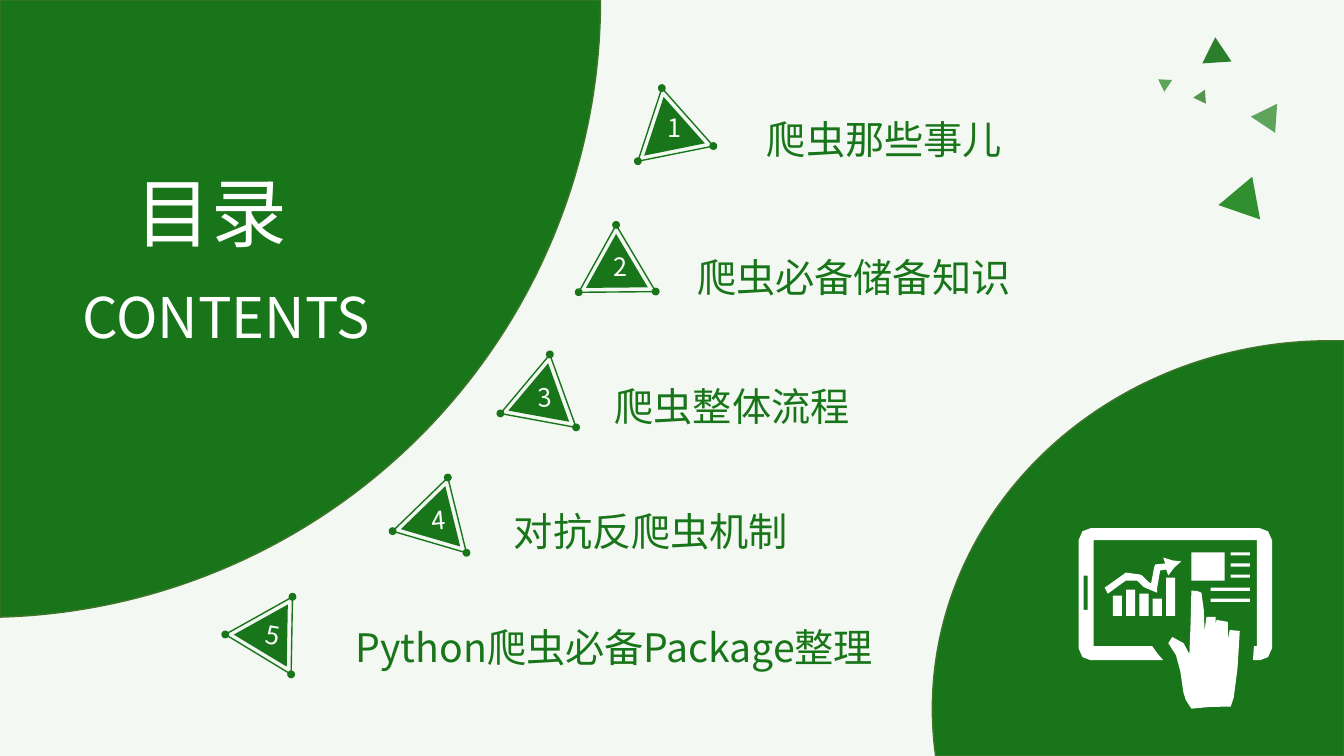
"""Build the contents slide of a web-crawler talk, with five numbered triangle badges."""
import math

from lxml import etree
from pptx import Presentation
from pptx import util as u
from pptx.dml.color import RGBColor
from pptx.enum import shapes, text
from pptx.oxml.ns import qn

Pt = u.Pt
FONT = "Noto Sans CJK SC"
COLORS = {
    "green": "197519", "edge": "3E752A", "white": "FFFFFF", "paper": "F3F8F3",
    "light": "5EA45A", "mid": "309030", "deep": "2B7E2A", "soft": "559551",
}


def paint(sp, fill=None, line=None):
    sp.shadow.inherit = False
    if fill:
        sp.fill.solid()
        sp.fill.fore_color.rgb = RGBColor.from_string(COLORS[fill])
    else:
        sp.fill.background()
    if line:
        sp.line.color.rgb = RGBColor.from_string(COLORS[line])
        sp.line.width = Pt(1)
    else:
        sp.line.fill.background()


def add_text(parent, content, left, top, width, height, size=28, color="green",
             align=text.PP_ALIGN.LEFT, rotation=0):
    sp = parent.add_textbox(Pt(left), Pt(top), Pt(width), Pt(height))
    sp.rotation = rotation
    tf = sp.text_frame
    tf.word_wrap = True
    tf.auto_size = text.MSO_AUTO_SIZE.SHAPE_TO_FIT_TEXT
    p = tf.paragraphs[0]
    p.alignment = align
    r = p.add_run()
    r.text = content
    r.font.size = Pt(size)
    r.font.color.rgb = RGBColor.from_string(COLORS[color])
    r.font.name = FONT
    etree.SubElement(r._r.get_or_add_rPr(), qn("a:ea")).set("typeface", FONT)


prs = Presentation()
prs.slide_width, prs.slide_height = Pt(960), Pt(540)
s = prs.slides.add_slide(prs.slide_layouts[6])
s.background.fill.solid()
s.background.fill.fore_color.rgb = RGBColor.from_string(COLORS["paper"])

confetti = [
    (896.4, 77.8, 20.9, 18, 153.9, "light"),
    (868.3, 130.3, 31, 27.4, 259.5, "mid"),
    (858.2, 26.6, 20.9, 18, 356.2, "deep"),
    (825.8, 54.7, 10.1, 8.6, 303.5, "light"),
    (853.9, 66.2, 10.1, 8.6, 145.8, "soft"),
]
for left, top, width, height, rotation, color in confetti:
    sp = s.shapes.add_shape(shapes.MSO_SHAPE.ISOSCELES_TRIANGLE,
                            Pt(left), Pt(top), Pt(width), Pt(height))
    sp.rotation = rotation
    paint(sp, color)

arcs = []
for cx, cy, rx, ry, start, end in [(-12, 0, 441, 441, 0, 88.4),
                                   (949.7, 506.2, 283.7, 262.8, 270, 172.6)]:
    angles = [math.radians(start + (end - start) * i / 90) for i in range(91)]
    arcs.append([(cx + rx * math.cos(a), cy + ry * math.sin(a)) for a in angles])
title_disc = [(0, 0), *arcs[0], (0, 441)]
corner_disc = [(960, 243.4), *arcs[1], (960, 540)]

tablet = [
    (779, 377.3), (900, 377.3), (905.8, 379.5), (908.6, 385.9), (908.6, 463),
    (905.8, 469.4), (900, 471.6), (895, 471.6), (895.7, 461.5), (897.8, 461.5),
    (897.8, 385.9), (781.2, 385.9), (781.2, 461.5), (823, 461.5), (826.6, 466.6),
    (830.9, 471.6), (779, 471.6), (773.2, 469.4), (770.4, 463), (770.4, 385.9),
    (773.2, 379.5),
]
trend_arrow = [
    (789.1, 419.8), (791.3, 424.1), (804.2, 414.7), (812.2, 414.7), (816.5, 419),
    (817.9, 419.8), (823, 421.9), (826.6, 423.4), (826.6, 419.8), (828.7, 407.5),
    (833, 406.8), (834.5, 411.1), (838.8, 405.4), (843.8, 401), (837.4, 400.3),
    (830.9, 398.2), (832.3, 402.5), (825.1, 403.2), (824.4, 405.4), (822.2, 416.9),
    (820.1, 415.4), (815.8, 411.1), (814.3, 410.4), (804.2, 409),
]
hand = [
    (860.4, 450.7), (859.9, 436), (858.2, 423.4), (855, 422.1), (851, 421.9),
    (850.5, 444), (849.6, 467.3), (845.5, 459.5), (837.4, 455), (834.5, 459.4),
    (840, 468), (843.1, 479.5), (845.3, 494.6), (847, 500), (851, 506.2),
    (864, 505), (879.1, 504.7), (881.3, 498.2), (884, 477), (885.6, 450.7),
    (878.4, 450), (877, 457.2), (877, 444.2), (869, 442.8), (868.3, 446.4),
    (868.3, 440.6), (861.8, 440.6),
]
button, thumbnail = (774, 411.1, 776.9, 435.6), (851, 394.6, 874.8, 414.7)
boxes = [button, thumbnail]
boxes += [(879.1, y, 892.8, y + 2.2) for y in (394.6, 402.5, 410.4)]
boxes += [(864.7, y, 892.8, y + 2.2) for y in (419.8, 427.7)]
boxes += [(794.9 + 9.5 * i, y, 801.4 + 9.5 * i, 439.9)
          for i, y in enumerate((425.5, 421.2, 424.1, 427.7, 412.6))]
icon = [tablet, trend_arrow, hand]
icon += [[(l, t), (r, t), (r, b), (l, b)] for l, t, r, b in boxes]

for outlines, fill, line in [([title_disc], "green", "edge"),
                             ([corner_disc], "green", "edge"),
                             (icon, "white", None)]:
    contours = [[(Pt(x), Pt(y)) for x, y in outline] for outline in outlines]
    builder = s.shapes.build_freeform(*contours[0][0])
    builder.add_line_segments(contours[0][1:], close=True)
    for contour in contours[1:]:
        builder.move_to(*contour[0])
        builder.add_line_segments(contour[1:], close=True)
    paint(builder.convert_to_shape(), fill, line)

add_text(s.shapes, "目录", 90, 115.2, 149.8, 72.7, size=54, color="white",
         align=text.PP_ALIGN.JUSTIFY)
add_text(s.shapes, "CONTENTS", 51.8, 198, 242.6, 55.4, size=40, color="white",
         align=text.PP_ALIGN.JUSTIFY)

BASE, RISE, DOT = 55.4, 47.5, 5.6
topics = [
    ("爬虫那些事儿", (540.7, 78.5, 359.3), (473.4, 99.4), 228.4, (469.4, 77), 0),
    ("爬虫必备储备知识", (491, 177.1, 359.3), (433.8, 196.6), 239.3, (431.3, 175.7), 0),
    ("爬虫整体流程", (432, 269.3, 359.3), (379.8, 287.3), 250.2, (377.3, 269.3), 356.4),
    ("对抗反爬虫机制", (360, 358.6, 359.3), (303.5, 373.7), 256.1, (301, 357.1), 354.9),
    ("Python爬虫必备Package整理", (247, 441.4, 392.4), (184.7, 453.6), 271, (182.9, 438.5), 9.8),
]
for number, (topic, label, (cx, cy), turn, digit, tilt) in enumerate(topics, 1):
    add_text(s.shapes, topic, *label, 41)
    badge = s.shapes.add_group_shape().shapes
    sin, cos = math.sin(math.radians(turn)), math.cos(math.radians(turn))
    for width, height, shift, fill, line in [(BASE, RISE, 0, None, "green"),
                                             (44.4, 38.2, 1.4, "green", None)]:
        sp = badge.add_shape(shapes.MSO_SHAPE.ISOSCELES_TRIANGLE,
                             Pt(cx - shift * sin - width / 2),
                             Pt(cy + shift * cos - height / 2), Pt(width), Pt(height))
        sp.rotation = turn
        paint(sp, fill, line)
    for x, y in [(0, -RISE / 2), (-BASE / 2, RISE / 2), (BASE / 2, RISE / 2)]:
        sp = badge.add_shape(shapes.MSO_SHAPE.OVAL,
                             Pt(cx + x * cos - y * sin - DOT / 2),
                             Pt(cy + x * sin + y * cos - DOT / 2), Pt(DOT), Pt(DOT))
        paint(sp, "green")
    add_text(badge, str(number), *digit, 18, 28.8, size=18, color="white",
             align=text.PP_ALIGN.CENTER, rotation=tilt)

prs.save("out.pptx")
